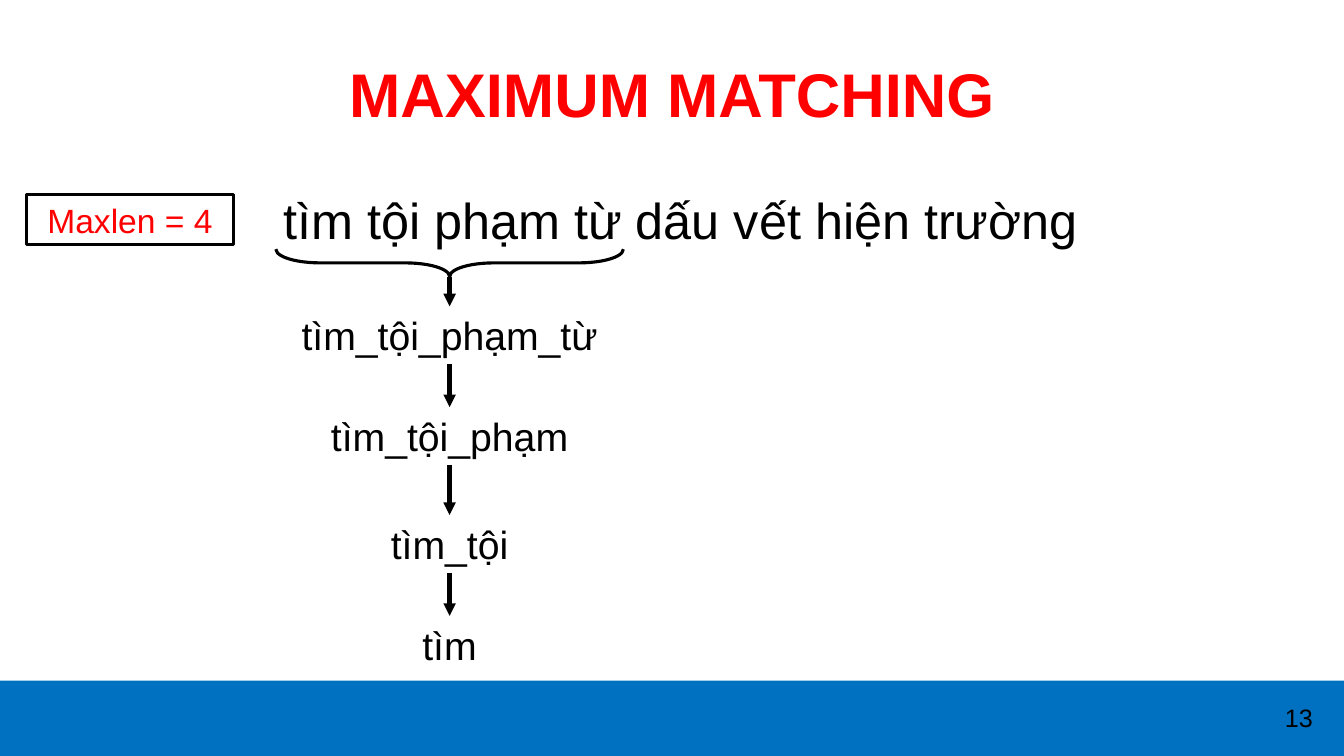
from lxml.etree import SubElement
from pptx import Presentation
from pptx.dml.color import RGBColor
from pptx.enum.shapes import MSO_CONNECTOR, MSO_SHAPE
from pptx.enum.text import MSO_ANCHOR, PP_ALIGN
from pptx.oxml.ns import qn
from pptx.util import Cm, Pt

BLACK, WHITE, RED, BLUE = "000000", "FFFFFF", "FF0000", "0070C0"
CANDIDATES = [
    ("tìm_tội_phạm_từ", 0.75),
    ("tìm_tội_phạm", 1.09),
    ("tìm_tội", 1.27),
    ("tìm", 1.09),
]


def color(value):
    return RGBColor.from_string(value)


def write_text(shape, text, size, text_color=BLACK, bold=False, anchor=MSO_ANCHOR.MIDDLE):
    frame = shape.text_frame
    frame.word_wrap = True
    frame.vertical_anchor = anchor
    frame.text = text
    paragraph = frame.paragraphs[0]
    paragraph.alignment = PP_ALIGN.CENTER
    paragraph.font.name = "Arial"
    paragraph.font.size = Pt(size)
    paragraph.font.bold = bold
    paragraph.font.color.rgb = color(text_color)


def add_label(slide, left, top, width, height, text, size, anchor=MSO_ANCHOR.MIDDLE):
    box = slide.shapes.add_textbox(Cm(left), Cm(top), Cm(width), Cm(height))
    write_text(box, text, size, anchor=anchor)


def add_plain_shape(slide, preset, left, top, width, height, fill=None, line_width=None):
    shape = slide.shapes.add_shape(preset, Cm(left), Cm(top), Cm(width), Cm(height))
    shape.shadow.inherit = False
    if fill:
        shape.fill.solid()
        shape.fill.fore_color.rgb = color(fill)
    else:
        shape.fill.background()
    if line_width:
        shape.line.color.rgb = color(BLACK)
        shape.line.width = Pt(line_width)
    else:
        shape.line.fill.background()
    return shape


def add_down_arrow(slide, center, top, bottom):
    arrow = slide.shapes.add_connector(
        MSO_CONNECTOR.STRAIGHT, Cm(center), Cm(top), Cm(center), Cm(bottom)
    )
    arrow.line.color.rgb = color(BLACK)
    arrow.line.width = Pt(3)
    SubElement(arrow.line._get_or_add_ln(), qn("a:tailEnd"), type="triangle")
    SubElement(arrow._element.spPr, qn("a:effectLst"))


def add_footer(slide, left, top, width, height, number):
    add_plain_shape(slide, MSO_SHAPE.RECTANGLE, left, top, width, height, fill=BLUE)
    number_width = 2.27
    add_label(slide, left + width - number_width, top + 0.43, number_width, 1.02,
              number, 18, MSO_ANCHOR.TOP)


def add_title(slide, left, top, width, height, text):
    title = slide.shapes.title
    title.left, title.top, title.width, title.height = Cm(left), Cm(top), Cm(width), Cm(height)
    write_text(title, text, 44, RED, bold=True)


def add_length_box(slide, left, top, width, height, text):
    box = add_plain_shape(slide, MSO_SHAPE.RECTANGLE, left, top, width, height, WHITE, 2)
    write_text(box, text, 24, RED)


def add_brace(slide, left, top, width, height):
    brace = add_plain_shape(
        slide, MSO_SHAPE.RIGHT_BRACE,
        left + (width - height) / 2, top + (height - width) / 2, height, width,
        line_width=2.25,
    )
    brace.rotation = 90
    brace.adjustments[0] = 1.622
    brace.adjustments[1] = 0.5


def add_candidate_chain(slide, left, top, width, label_height, candidates):
    for text, arrow_length in candidates:
        label_top = top + arrow_length
        add_down_arrow(slide, left + width / 2, top, label_top)
        add_label(slide, left, label_top, width, label_height, text, 28)
        top = label_top + label_height


def main():
    presentation = Presentation()
    presentation.slide_width = Cm(33.87)
    presentation.slide_height = Cm(19.05)
    slide = presentation.slides.add_slide(presentation.slide_layouts[5])

    add_footer(slide, 0, 17.15, 33.87, 1.9, "13")
    add_title(slide, 1.7, 0.76, 30.48, 3.18, "MAXIMUM MATCHING")
    add_label(slide, 6.1, 4.65, 22.12, 1.8, "tìm tội phạm từ dấu vết hiện trường", 36,
              MSO_ANCHOR.TOP)
    add_length_box(slide, 0.66, 4.9, 5.23, 1.27, "Maxlen = 4")
    add_brace(slide, 6.95, 6.28, 8.76, 0.69)
    add_candidate_chain(slide, 6.62, 6.97, 9.42, 1.45, CANDIDATES)

    presentation.save("out.pptx")


if __name__ == "__main__":
    main()
